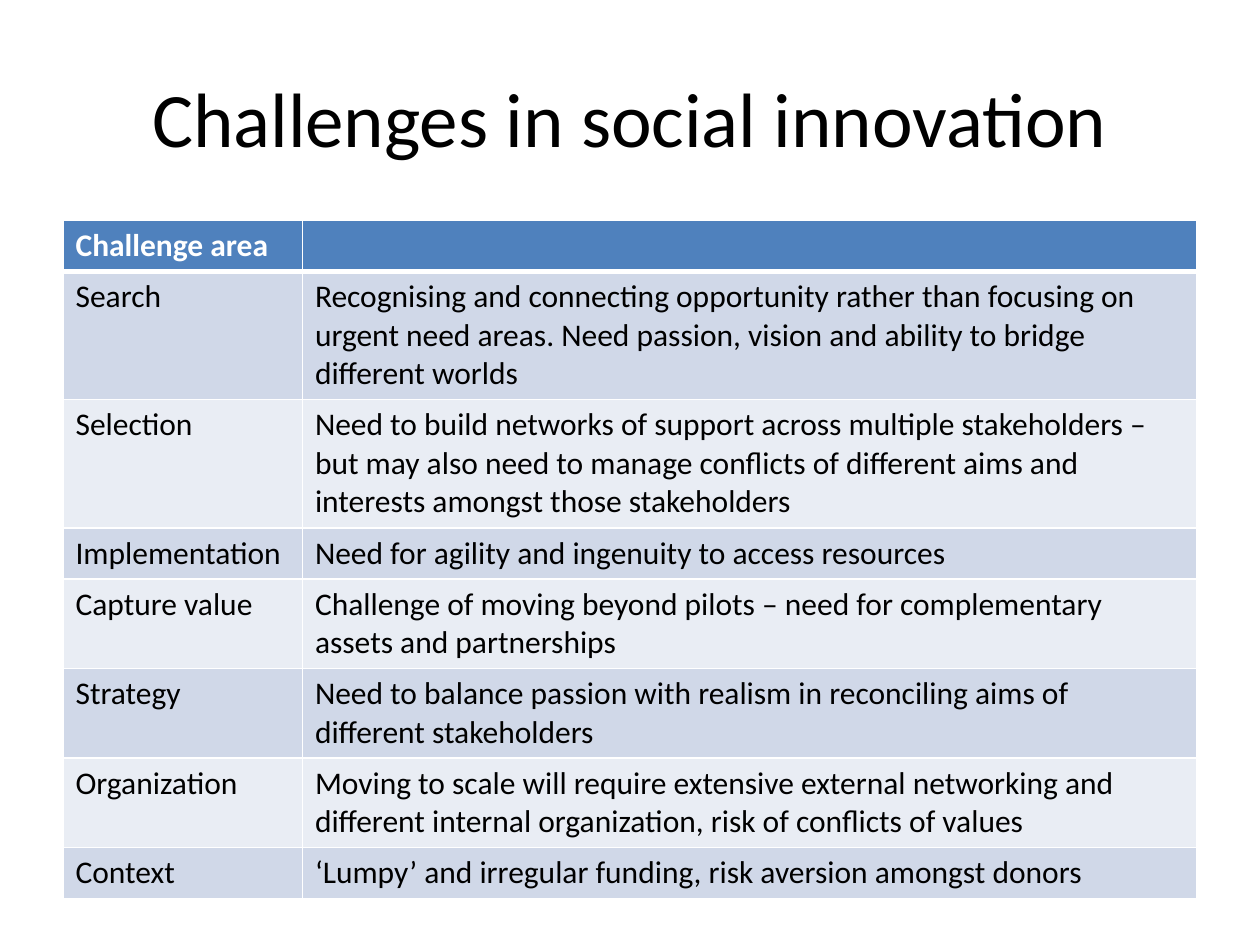
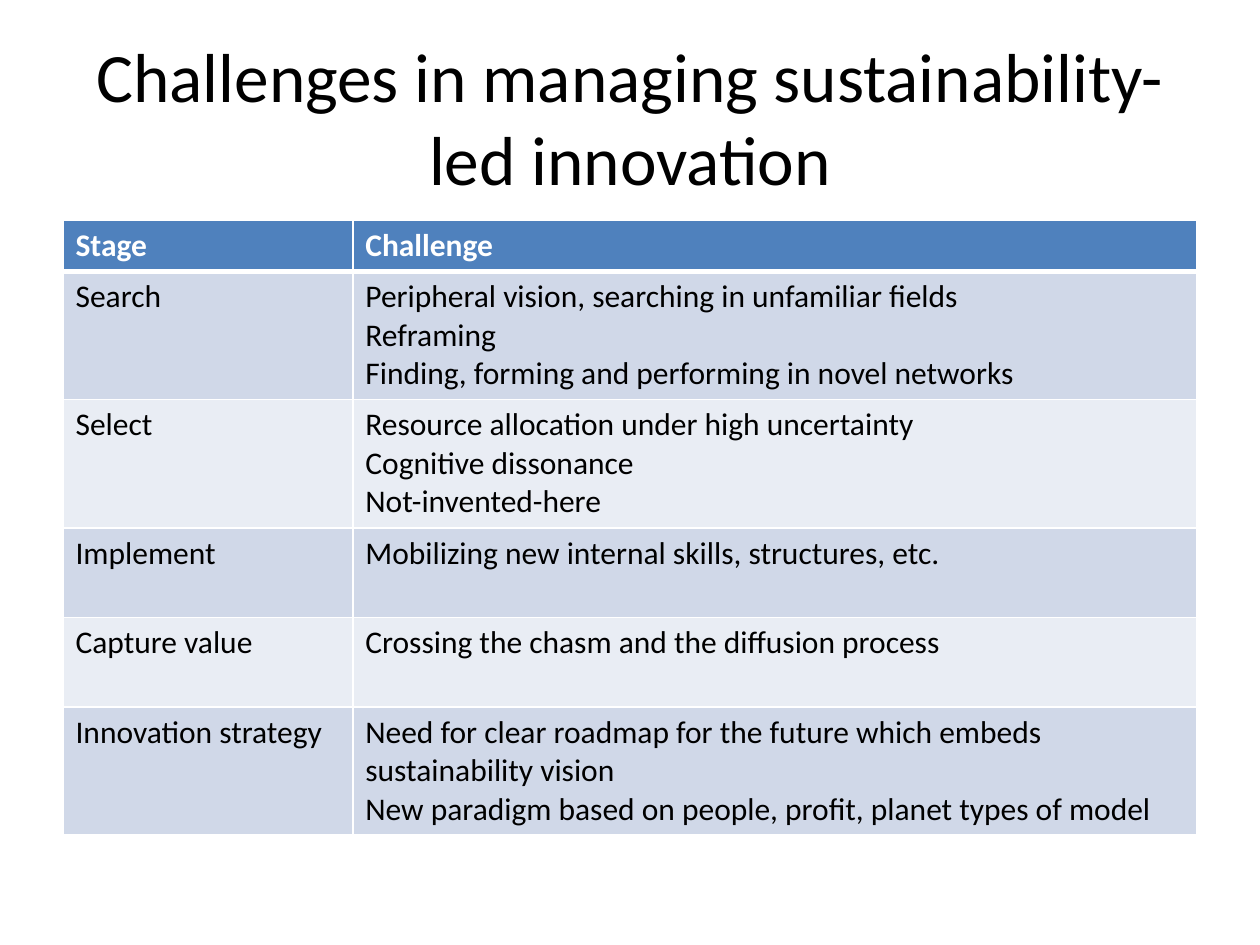
import lxml.etree
import pptx
import pptx.dml.color
import pptx.enum.text
import pptx.oxml.ns
import pptx.util

Pt = pptx.util.Pt
COLORS = {
    "title": "000000",
    "body": "000000",
    "header_text": "FFFFFF",
    "header_fill": "4F81BD",
    "dark_band": "D0D8E8",
    "light_band": "E9EDF4",
    "border": "FFFFFF",
}
FONT = "Calibri"
LEFT, WIDTH = 36, 648
LINE_HEIGHT, CELL_PADDING = 22, 7.2

# Each table row: first cell, paragraphs of second cell, lines of text in the row
SLIDES = [
    {
        "title": "Challenges in social innovation",
        "title_size": 44,
        "first_column": 136.8,
        "rows": [
            ("Challenge area", [""], 1),
            ("Search", ["Recognising and connecting opportunity rather than focusing on urgent "
                        "need areas. Need passion, vision and ability to bridge different worlds"], 3),
            ("Selection", ["Need to build networks of support across multiple stakeholders – but "
                           "may also need to manage conflicts of different aims and interests "
                           "amongst those stakeholders"], 3),
            ("Implementation", ["Need for agility and ingenuity to access resources"], 1),
            ("Capture value", ["Challenge of moving beyond pilots – need for complementary assets "
                               "and partnerships"], 2),
            ("Strategy", ["Need to balance passion with realism in reconciling aims of different "
                          "stakeholders"], 2),
            ("Organization", ["Moving to scale will require extensive external networking and "
                              "different internal organization, risk of conflicts of values"], 2),
            ("Context", ["‘Lumpy’ and irregular funding, risk aversion amongst donors"], 1),
        ],
    },
    {
        "title": "Challenges in managing sustainability-led innovation",
        "title_size": 39.6,
        "first_column": 165.6,
        "rows": [
            ("Stage", ["Challenge"], 1),
            ("Search", ["Peripheral vision, searching in unfamiliar fields",
                        "Reframing",
                        "Finding, forming and performing in novel networks"], 3),
            ("Select", ["Resource allocation under high uncertainty",
                        "Cognitive dissonance",
                        "Not-invented-here"], 3),
            ("Implement", ["Mobilizing new internal skills, structures, etc."], 2),
            ("Capture value", ["Crossing the chasm and the diffusion process"], 2),
            ("Innovation strategy", ["Need for clear roadmap for the future which embeds "
                                     "sustainability vision",
                                     "New paradigm based on people, profit, planet types of model"], 3),
        ],
    },
]


def format_font(font, size, color, bold=False):
    font.name = FONT
    font.size = Pt(size)
    font.bold = bold
    font.color.rgb = pptx.dml.color.RGBColor.from_string(COLORS[color])


def set_borders(cell, top, bottom):
    """Draw the four cell borders; top and bottom are widths in points."""
    properties = cell._tc.get_or_add_tcPr()
    qn = pptx.oxml.ns.qn
    sides = [("a:lnL", 1), ("a:lnR", 1), ("a:lnT", top), ("a:lnB", bottom)]
    for position, (side, width) in enumerate(sides):
        line = lxml.etree.Element(qn(side), w=str(Pt(width)))
        fill = lxml.etree.SubElement(line, qn("a:solidFill"))
        lxml.etree.SubElement(fill, qn("a:srgbClr"), val=COLORS["border"])
        properties.insert(position, line)


presentation = pptx.Presentation()
presentation.slide_width = Pt(720)
presentation.slide_height = Pt(540)
title_only_layout = presentation.slide_layouts[5]

for content in SLIDES:
    slide = presentation.slides.add_slide(title_only_layout)

    title = slide.shapes.title
    title.left, title.top, title.width, title.height = Pt(LEFT), Pt(21.6), Pt(WIDTH), Pt(90)
    title.text_frame.text = content["title"]
    title.text_frame.auto_size = pptx.enum.text.MSO_AUTO_SIZE.NONE
    title.text_frame.vertical_anchor = pptx.enum.text.MSO_ANCHOR.MIDDLE
    paragraph = title.text_frame.paragraphs[0]
    paragraph.alignment = pptx.enum.text.PP_ALIGN.CENTER
    format_font(paragraph.runs[0].font, content["title_size"], "title")

    rows = content["rows"]
    heights = [lines * LINE_HEIGHT + CELL_PADDING for _, _, lines in rows]
    table = slide.shapes.add_table(
        len(rows), 2, Pt(LEFT), Pt(126), Pt(WIDTH), Pt(sum(heights))).table
    table.horz_banding = False
    table.columns[0].width = Pt(content["first_column"])
    table.columns[1].width = Pt(WIDTH - content["first_column"])

    for row_index, (area, challenges, _) in enumerate(rows):
        table.rows[row_index].height = Pt(heights[row_index])
        is_header = row_index == 0
        band = "dark_band" if row_index % 2 else "light_band"
        for column_index, paragraphs in enumerate([[area], challenges]):
            cell = table.cell(row_index, column_index)
            cell.fill.solid()
            cell.fill.fore_color.rgb = pptx.dml.color.RGBColor.from_string(
                COLORS["header_fill" if is_header else band])
            set_borders(cell, top=3 if row_index == 1 else 1, bottom=3 if is_header else 1)
            cell.text_frame.text = "\n".join(paragraphs)
            for paragraph in cell.text_frame.paragraphs:
                format_font(paragraph.font, 18, "header_text" if is_header else "body", is_header)
                for run in paragraph.runs:
                    format_font(run.font, 18, "header_text" if is_header else "body", is_header)

presentation.save("out.pptx")
